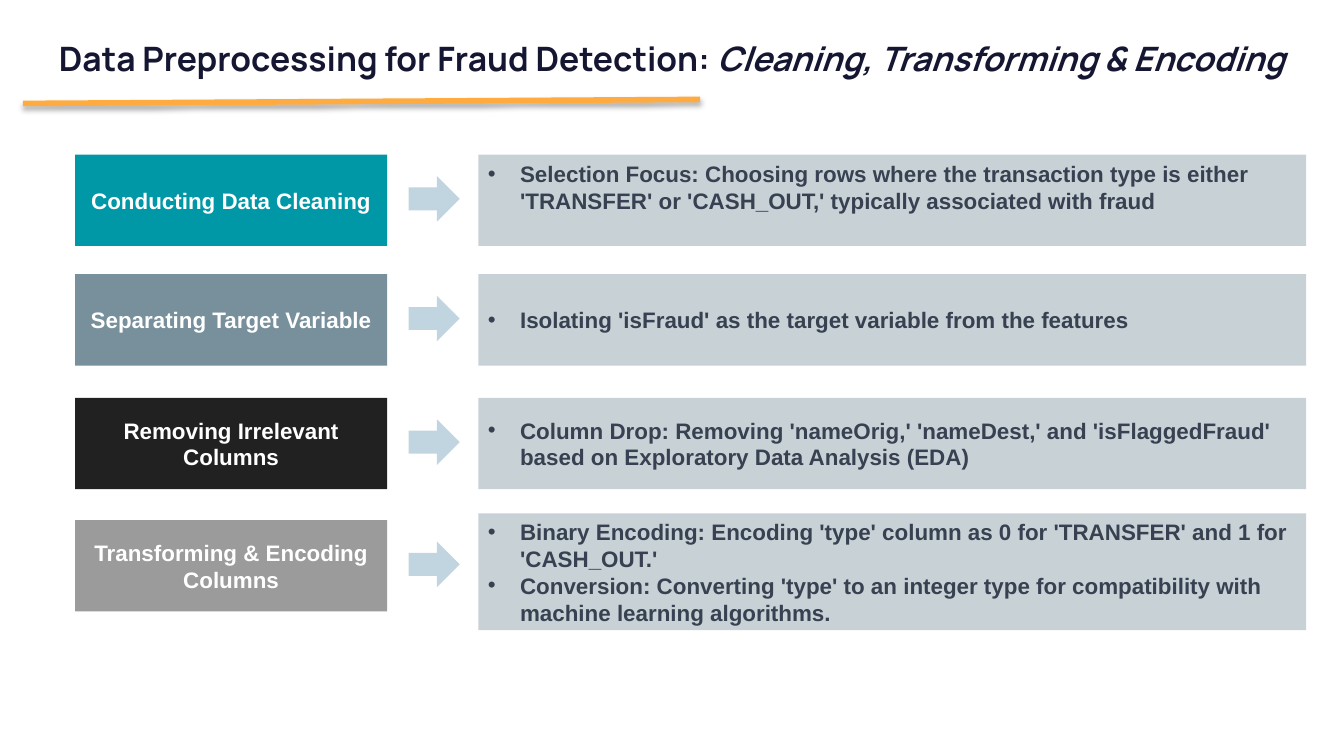
from dataclasses import dataclass

from lxml.etree import SubElement
from pptx import Presentation
from pptx.dml.color import RGBColor
from pptx.enum.shapes import MSO_CONNECTOR, MSO_SHAPE
from pptx.enum.text import MSO_ANCHOR, PP_ALIGN
from pptx.oxml.ns import qn
from pptx.util import Inches, Pt

HUES = {
    "title": "151631", "rule": "FFAB40", "panel": "C8D2D6", "body": "374151",
    "arrow": "C1D5E1", "label": "FFFFFF", "teal": "0097A7", "slate": "78909C",
    "black": "212121", "grey": "9B9B9B", "shade": "000000",
}
PADS = ("margin_left", "margin_top", "margin_right", "margin_bottom")
WIDE = Inches(10)


@dataclass
class Step:
    """One stage of the flow: its label, colour, place and bullet points."""
    label: str
    hue: str
    top: float
    points: list[str]
    high: float = 0.68
    lift: float = 0
    anchor: MSO_ANCHOR = MSO_ANCHOR.MIDDLE


STEPS = [
    Step("Conducting Data Cleaning", "teal", 1.15,
         ["Selection Focus: Choosing rows where the transaction type is either "
          "'TRANSFER' or 'CASH_OUT,' typically associated with fraud"],
         anchor=MSO_ANCHOR.TOP),
    Step("Separating Target Variable", "slate", 2.04,
         ["Isolating 'isFraud' as the target variable from the features"]),
    Step("Removing Irrelevant Columns", "black", 2.96,
         ["Column Drop: Removing 'nameOrig,' 'nameDest,' and 'isFlaggedFraud' "
          "based on Exploratory Data Analysis (EDA)"]),
    Step("Transforming & Encoding Columns", "grey", 3.87,
         ["Binary Encoding: Encoding 'type' column as 0 for 'TRANSFER' and 1 for "
          "'CASH_OUT.'",
          "Conversion: Converting 'type' to an integer type for compatibility with "
          "machine learning algorithms."], high=0.87, lift=0.05),
]


def tint(name: str) -> RGBColor:
    """Look up a named colour."""
    return RGBColor.from_string(HUES[name])


def apply(thing, **form) -> None:
    """Set every format value on an object."""
    for key, value in form.items():
        setattr(thing, key, value)


def style(font, hue: str, **form) -> None:
    """Set the colour and format of a font."""
    apply(font, bold=True, **form)
    font.color.rgb = tint(hue)


def block(slide, kind: MSO_SHAPE, hue: str, *box: float):
    """Draw a flat filled shape without outline."""
    shape = slide.shapes.add_shape(kind, *map(Inches, box))
    shape.shadow.inherit = False
    shape.fill.solid()
    shape.fill.fore_color.rgb = tint(hue)
    shape.line.fill.background()
    return shape


def bullet(para) -> None:
    """Give a paragraph a hanging round bullet."""
    props = para._p.get_or_add_pPr()
    props.set("marL", str(Inches(0.24)))
    props.set("indent", str(Inches(-0.24)))
    paint = SubElement(props, qn("a:buClr"))
    SubElement(paint, qn("a:srgbClr"), val=HUES["body"])
    SubElement(props, qn("a:buFont"), typeface="Arial")
    SubElement(props, qn("a:buChar"), char="•")


def write(shape, lines: list[str], hue: str, anchor: MSO_ANCHOR, listed: bool) -> None:
    """Fill a block with centred text or a bullet list."""
    frame = shape.text_frame
    pads = dict(zip(PADS, map(Inches, (0.07, 0.04) * 2)))
    apply(frame, word_wrap=True, vertical_anchor=anchor, **pads)
    for num, line in enumerate(lines):
        para = frame.add_paragraph() if num else frame.paragraphs[0]
        para.alignment = PP_ALIGN.LEFT if listed else PP_ALIGN.CENTER
        if listed:
            bullet(para)
        run = para.add_run()
        run.text = line
        style(run.font, hue, name="Arial", size=Pt(12))


def stage(slide, step: Step) -> None:
    """Draw the label, arrow and panel of one step."""
    tag = block(slide, MSO_SHAPE.RECTANGLE, step.hue, 0.56, step.top, 2.32, 0.68)
    write(tag, [step.label], "label", MSO_ANCHOR.MIDDLE, False)
    block(slide, MSO_SHAPE.RIGHT_ARROW, "arrow", 3.04, step.top + 0.16, 0.38, 0.34)
    panel = block(slide, MSO_SHAPE.RECTANGLE, "panel",
                  3.56, step.top - step.lift, 6.16, step.high)
    write(panel, step.points, "body", step.anchor, True)


def head(slide) -> None:
    """Write the slide title."""
    box = slide.shapes.add_textbox(*map(Inches, (0, 0.18, 10, 0.57)))
    apply(box.text_frame, word_wrap=True, **dict.fromkeys(PADS, Inches(0.1)))
    para = box.text_frame.paragraphs[0]
    para.alignment = PP_ALIGN.CENTER
    parts = (("Data Preprocessing for Fraud Detection: ", False),
             ("Cleaning, Transforming & Encoding", True))
    for text, slant in parts:
        run = para.add_run()
        run.text = text
        style(run.font, "title", name="Manrope", size=Pt(18), italic=slant)


def rule(slide) -> None:
    """Draw the shaded line under the title."""
    ends = map(Inches, (0.17, 0.77, 5.21, 0.74))
    line = slide.shapes.add_connector(MSO_CONNECTOR.STRAIGHT, *ends)
    line.line.color.rgb = tint("rule")
    line.line.width = Pt(3)
    effects = SubElement(line._element.spPr, qn("a:effectLst"))
    shade = SubElement(effects, qn("a:outerShdw"), blurRad=str(Pt(3.1)),
                       dist=str(Pt(1.8)), dir="5400000", rotWithShape="0")
    paint = SubElement(shade, qn("a:srgbClr"), val=HUES["shade"])
    SubElement(paint, qn("a:alpha"), val="35000")


def main() -> None:
    """Build and save the slide."""
    deck = Presentation()
    apply(deck, slide_width=WIDE, slide_height=WIDE * 9 // 16)
    slide = deck.slides.add_slide(deck.slide_layouts[6])
    head(slide)
    for step in STEPS:
        stage(slide, step)
    rule(slide)
    deck.save("out.pptx")


if __name__ == "__main__":
    main()
